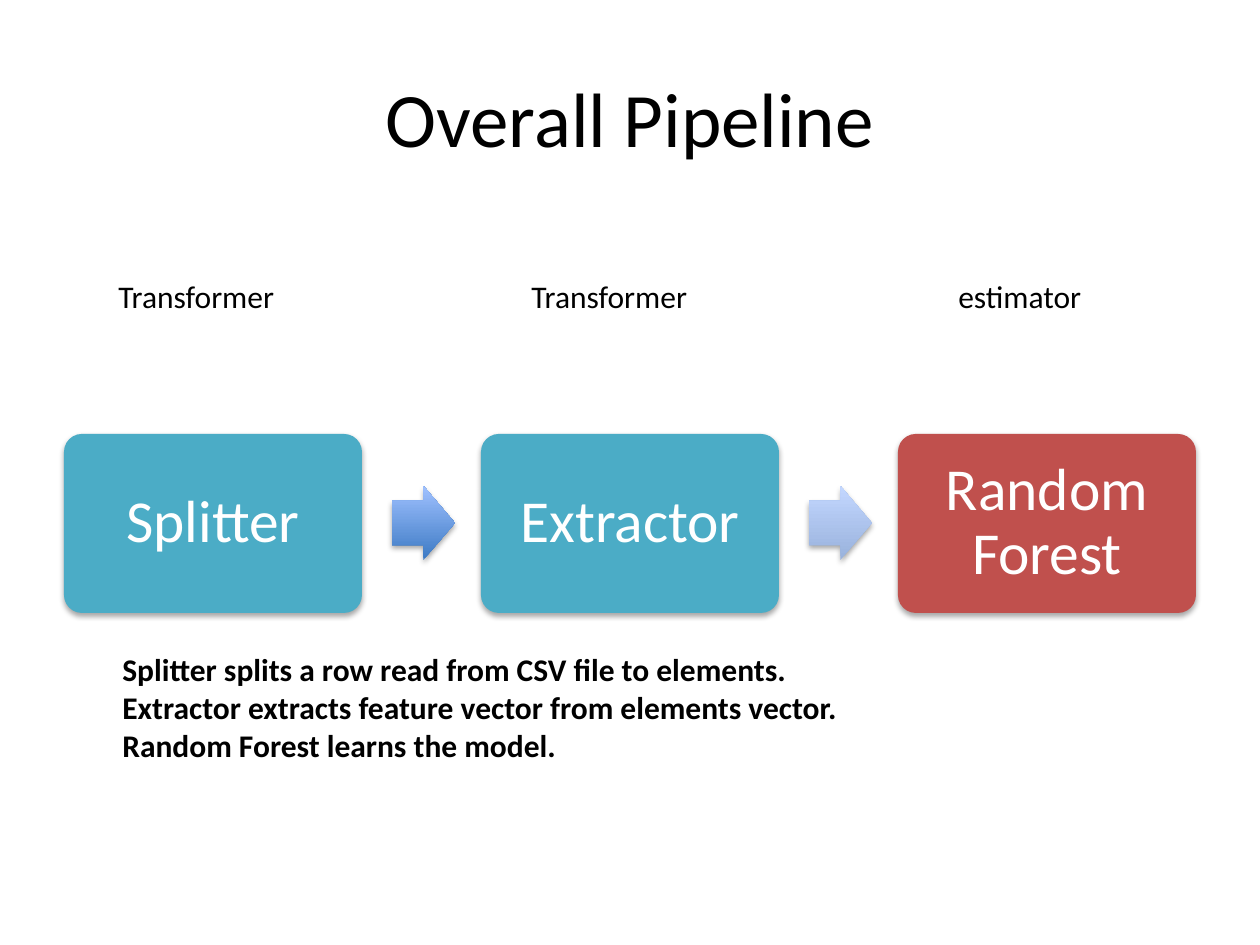
import pptx
import pptx.dml.color
import pptx.enum.shapes
import pptx.enum.text
import pptx.oxml
import pptx.oxml.ns
import pptx.util

RGBColor = pptx.dml.color.RGBColor
Shapes = pptx.enum.shapes.MSO_SHAPE
Align = pptx.enum.text.PP_ALIGN
Anchor = pptx.enum.text.MSO_ANCHOR

BLACK = RGBColor(0x00, 0x00, 0x00)
WHITE = RGBColor(0xFF, 0xFF, 0xFF)
TEAL = RGBColor(0x4B, 0xAC, 0xC6)
RED = RGBColor(0xC0, 0x50, 0x4D)
BLUE_DARK = RGBColor(0x3C, 0x7A, 0xC4)
BLUE_LIGHT = RGBColor(0xA0, 0xC1, 0xFF)
PALE_DARK = RGBColor(0x99, 0xB2, 0xDC)
PALE_LIGHT = RGBColor(0xC3, 0xD7, 0xFF)

SHADOW = (
    '<a:outerShdw %s blurRad="40000" dist="23000" dir="5400000" rotWithShape="0">'
    '<a:srgbClr val="000000"><a:alpha val="35000"/></a:srgbClr></a:outerShdw>'
    % pptx.oxml.ns.nsdecls("a")
)


class SlideBuilder:
    """Draws the elements of a pipeline slide in one shared style."""

    font = "Calibri"
    scale = 914400 // 126

    def __init__(self, slide):
        self.slide = slide

    def box(self, *pixels):
        return [pptx.util.Emu(value * self.scale) for value in pixels]

    def add_lines(self, frame, lines, size, color, align, bold=False):
        frame.word_wrap = True
        for index, line in enumerate(lines):
            paragraph = frame.add_paragraph() if index else frame.paragraphs[0]
            paragraph.alignment = align
            run = paragraph.add_run()
            run.text = line
            run.font.name = self.font
            run.font.size = pptx.util.Pt(size)
            run.font.bold = bold
            run.font.color.rgb = color

    def title(self, text, *pixels):
        shape = self.slide.shapes.title
        shape.left, shape.top, shape.width, shape.height = self.box(*pixels)
        shape.text_frame.vertical_anchor = Anchor.MIDDLE
        self.add_lines(shape.text_frame, [text], 44, BLACK, Align.CENTER)

    def text(self, lines, *pixels, bold=False):
        shape = self.slide.shapes.add_textbox(*self.box(*pixels))
        self.add_lines(shape.text_frame, lines, 18, BLACK, Align.LEFT, bold)

    def shadowed(self, kind, adjustments, *pixels):
        shape = self.slide.shapes.add_shape(kind, *self.box(*pixels))
        for index, value in enumerate(adjustments):
            shape.adjustments[index] = value
        shape.line.fill.background()
        shape.shadow.inherit = False
        effects = shape._element.spPr.find(pptx.oxml.ns.qn("a:effectLst"))
        effects.append(pptx.oxml.parse_xml(SHADOW))
        return shape

    def stage(self, text, color, *pixels):
        shape = self.shadowed(Shapes.ROUNDED_RECTANGLE, [0.1], *pixels)
        shape.fill.solid()
        shape.fill.fore_color.rgb = color
        frame = shape.text_frame
        frame.vertical_anchor = Anchor.MIDDLE
        inset, = self.box(23)
        frame.margin_left = frame.margin_right = inset
        frame.margin_top = frame.margin_bottom = inset
        self.add_lines(frame, [text], 34, WHITE, Align.CENTER)
        frame.paragraphs[0].line_spacing = 0.9

    def arrow(self, colors, *pixels):
        shape = self.shadowed(Shapes.RIGHT_ARROW, [0.6, 0.5], *pixels)
        shape.fill.gradient()
        shape.fill.gradient_angle = 90
        for stop, color in zip(shape.fill.gradient_stops, colors):
            stop.color.rgb = color


presentation = pptx.Presentation()
presentation.slide_width = pptx.util.Inches(10)
presentation.slide_height = pptx.util.Inches(7.5)
builder = SlideBuilder(presentation.slides.add_slide(presentation.slide_layouts[5]))

builder.title("Overall Pipeline", 63, 38, 1134, 157)

STEP = 417
stages = [
    ("Splitter", TEAL, "Transformer", 106),
    ("Extractor", TEAL, "Transformer", 519),
    ("Random Forest", RED, "estimator", 946),
]
arrows = [(BLUE_DARK, BLUE_LIGHT), (PALE_DARK, PALE_LIGHT)]

for index, (name, color, role, role_left) in enumerate(stages):
    builder.stage(name, color, 64 + index * STEP, 434, 298, 179)
    builder.text([role], role_left, 271, 200, 50)
for index, colors in enumerate(arrows):
    builder.arrow(colors, 392 + index * STEP, 486, 63, 74)

builder.text(
    [
        "Splitter splits a row read from CSV file to elements.",
        "Extractor extracts feature vector from elements vector.",
        "Random Forest learns the model.",
    ],
    110, 644, 1032, 165, bold=True,
)

presentation.save("out.pptx")
